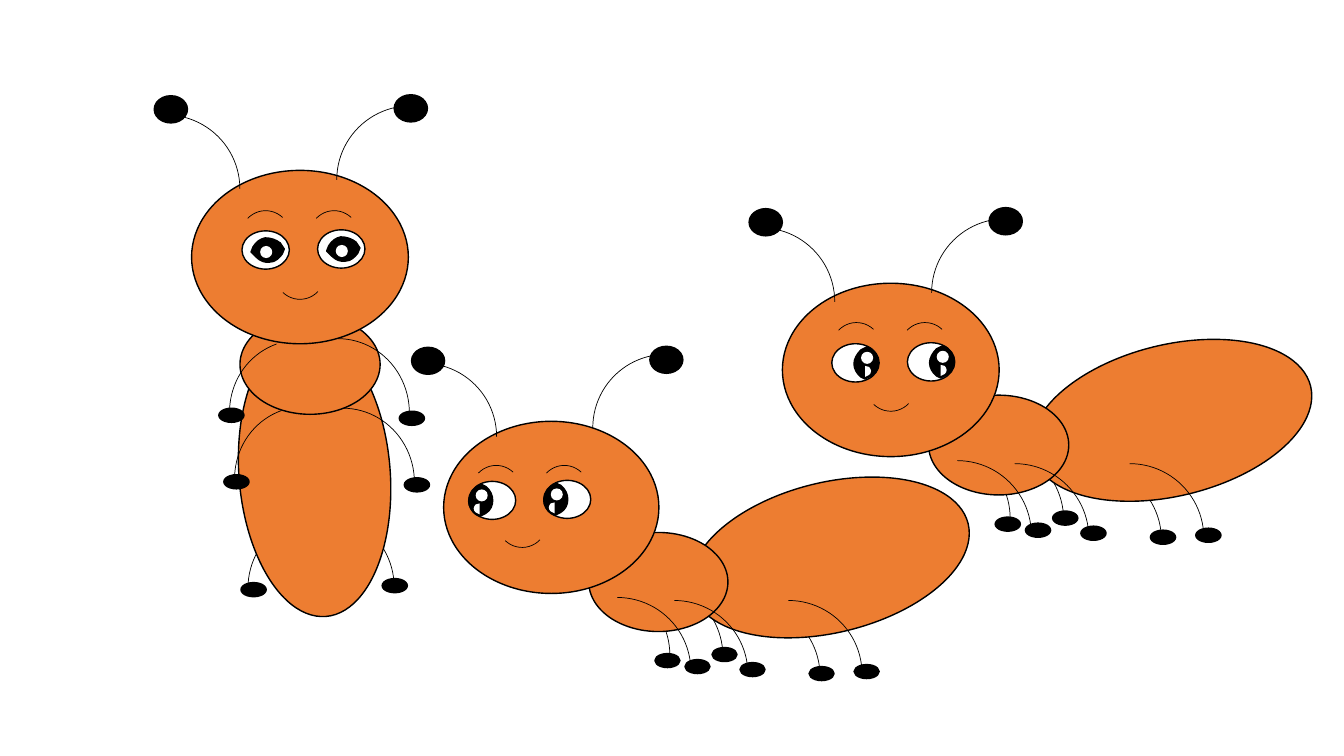
import dataclasses
import typing

import lxml.etree
import pptx
import pptx.dml.color
import pptx.enum.shapes
import pptx.oxml.ns
import pptx.util

KIND = pptx.enum.shapes.MSO_SHAPE
CELL = pptx.util.Inches(1)  # one grid cell
COLS, ROWS = 13.33, 7.5
HEX = {"body": "ED7D31", "ink": "000000", "light": "FFFFFF"}

# Outlines: a pair is a straight step, six numbers are a curve
SIDE_PUPIL = [
    (0.13, 0), (0.17, 0.02),
    (0.22, 0.06, 0.24, 0.11, 0.24, 0.16), (0.24, 0.21, 0.22, 0.26, 0.17, 0.29),
    (0.11, 0.32), (0.07, 0.3),
    (0.03, 0.27, 0, 0.22, 0, 0.17), (0, 0.12, 0.03, 0.07, 0.07, 0.03),
]
FRONT_PUPIL = [
    (0, 0.14), (0.02, 0.09),
    (0.05, 0.04, 0.09, 0.01, 0.14, 0), (0.2, 0, 0.25, 0.02, 0.29, 0.05),
    (0.33, 0.11), (0.31, 0.16),
    (0.28, 0.2, 0.24, 0.24, 0.19, 0.24), (0.14, 0.25, 0.09, 0.23, 0.05, 0.19),
]
GLINT = [
    (0, 0), (0.04, 0.01),
    (0.05, 0.02, 0.06, 0.04, 0.06, 0.05), (0.06, 0.07, 0.05, 0.08, 0.04, 0.09),
    (0, 0.11),
]


@dataclasses.dataclass
class Ant:
    """An ant whose parts are placed from the corner of its head."""
    shapes: typing.Any
    left: float
    top: float
    size: float = 100  # percent

    def long(self, n):
        return round(n * self.size / 100 * CELL)

    def spot(self, x, y):
        return (round(self.left * CELL) + self.long(x),
                round(self.top * CELL) + self.long(y))


def paint(shape, fill, line):
    shape.shadow.inherit = False
    if fill:
        shape.fill.solid()
        shape.fill.fore_color.rgb = pptx.dml.color.RGBColor.from_string(HEX[fill])
    else:
        shape.fill.background()
    if line:
        shape.line.color.rgb = pptx.dml.color.RGBColor.from_string(HEX["ink"])
        shape.line.width = pptx.util.Pt(line)
    else:
        shape.line.fill.background()


def place(ant, kind, x, y, w, h, turn):
    shape = ant.shapes.add_shape(kind, *ant.spot(x, y), ant.long(w), ant.long(h))
    shape.rotation = turn
    return shape


def oval(ant, x, y, w, h, fill, line=1, turn=0):
    paint(place(ant, KIND.OVAL, x, y, w, h, turn), fill, line)


def arc(ant, x, y, w=1.47, h=1.47, flip=None, turn=0, ends=None):
    shape = place(ant, KIND.ARC, x, y, w, h, turn)
    if flip:
        shape._element.spPr.xfrm.set(flip, "1")
    if ends:
        shape.adjustments[0], shape.adjustments[1] = ends
    paint(shape, None, 0.5)


def bend(shape, steps):
    """Join the three straight parts of each curved step into one curve."""
    name = pptx.oxml.ns.qn
    parts = iter(list(shape._element.iter(name("a:lnTo"))))
    for step in steps[1:]:
        part = next(parts)
        if len(step) == 6:
            curve = lxml.etree.Element(name("a:cubicBezTo"))
            part.addprevious(curve)
            for piece in (part, next(parts), next(parts)):
                curve.append(piece[0])
                piece.getparent().remove(piece)


def patch(ant, x, y, steps, fill, line=None, side=1):
    dots = [ant.spot(x + side * step[at], y + step[at + 1])
            for step in steps for at in range(0, len(step), 2)]
    path = ant.shapes.build_freeform(*dots[0], scale=1)
    path.add_line_segments(dots[1:], close=True)
    shape = path.convert_to_shape()
    bend(shape, steps)
    paint(shape, fill, line)


def eye(ant, x, y, look):
    """Look is 1 for right, -1 for left and 0 for ahead."""
    oval(ant, x, y, 0.47, 0.38, "light")
    if look == 0:
        patch(ant, x + 0.09, y + 0.07, FRONT_PUPIL, "ink", 1)
        oval(ant, x + 0.18, y + 0.15, 0.12, 0.12, "light", None)
        return
    pupil = x + (0.22 if look > 0 else 0)
    patch(ant, pupil, y + 0.03, SIDE_PUPIL, "ink", 1)
    oval(ant, pupil + 0.07, y + 0.08, 0.12, 0.12, "light", None)
    patch(ant, pupil + 0.11, y + 0.22, GLINT, "light", side=look)


def face(ant, look, brow, eyes, mouth):
    for gap in (0.68, 0):
        arc(ant, brow[0] + gap, brow[1], 0.49, 0.49, "flipH", 43.5)
    eye(ant, eyes + 0.75, 0.59, look)
    eye(ant, eyes, 0.6, look)
    arc(ant, *mouth, 0.49, 0.49, "flipV", 43.5)


def head(ant):
    oval(ant, 0, 0, 2.15, 1.72, "body")


def horns(ant, shift, drop=0):
    arc(ant, 1.48 + shift, -0.64 + drop, flip="flipH")
    arc(ant, -0.95 + shift, -0.55 + drop)
    oval(ant, 2.05 + shift, -0.75, 0.33, 0.27, "ink")
    oval(ant, -0.33 + shift, -0.74, 0.33, 0.27, "ink")


def feet(ant, spots):
    for x, y in spots:
        oval(ant, x, y, 0.25, 0.14, "ink")


def crawl(ant, shift=0, drop=0):
    """An ant on all its legs."""
    for x, y in ((0.79, 1.6), (1.32, 1.61), (2.29, 1.81)):
        arc(ant, x, y)
    oval(ant, 2.44, 0.61, 2.84, 1.5, "body", turn=346.2)
    oval(ant, 1.45, 1.11, 1.39, 0.99, "body")
    head(ant)
    for x, y in ((2.71, 1.79), (1.57, 1.79), (1, 1.76)):
        arc(ant, x, y)
    horns(ant, shift, drop)
    feet(ant, ((2.11, 2.32), (2.41, 2.38), (2.68, 2.26),
               (2.96, 2.41), (3.65, 2.45), (4.1, 2.43)))


def stand(ant):
    """An upright ant."""
    arc(ant, 0.56, 3.41, flip="flipH")
    arc(ant, 0.54, 3.4)
    oval(ant, -0.2, 2.26, 2.84, 1.5, "body", turn=85.5)
    oval(ant, 0.48, 1.43, 1.39, 0.99, "body")
    head(ant)
    for x, y in ((0.74, 1.67), (0.79, 2.36)):
        arc(ant, x, y, 1.42)
    horns(ant, -0.04)
    for x, y in ((0.38, 1.68), (0.43, 2.34)):
        arc(ant, x, y, 1.42, 1.47, "flipH", 340.4, (162, 204.02))
    feet(ant, ((2.06, 2.39), (1.89, 4.05), (0.49, 4.09),
               (0.27, 2.36), (2.11, 3.05), (0.32, 3.02)))


def main():
    deck = pptx.Presentation()
    deck.slide_width = round(COLS * CELL)
    deck.slide_height = round(ROWS * CELL)
    shapes = deck.slides.add_slide(deck.slide_layouts[6]).shapes

    # Right ant, looking right
    right = Ant(shapes.add_group_shape().shapes, 7.76, 2.81)
    crawl(right)
    face(right, 1, (0.49, 0.39), 0.49, (0.83, 0.78))

    # Upright ant, looking ahead
    tall = Ant(shapes.add_group_shape().shapes, 1.9, 1.69)
    stand(tall)
    face(tall, 0, (0.49, 0.4), 0.5, (0.83, 0.79))

    # Front ant, looking left
    front = Ant(shapes.add_group_shape().shapes, 4.4, 4.18, 99.3)
    crawl(front, 0.01, -0.03)
    face(front, -1, (0.28, 0.44), 0.25, (0.54, 0.77))

    deck.save("out.pptx")


if __name__ == "__main__":
    main()
